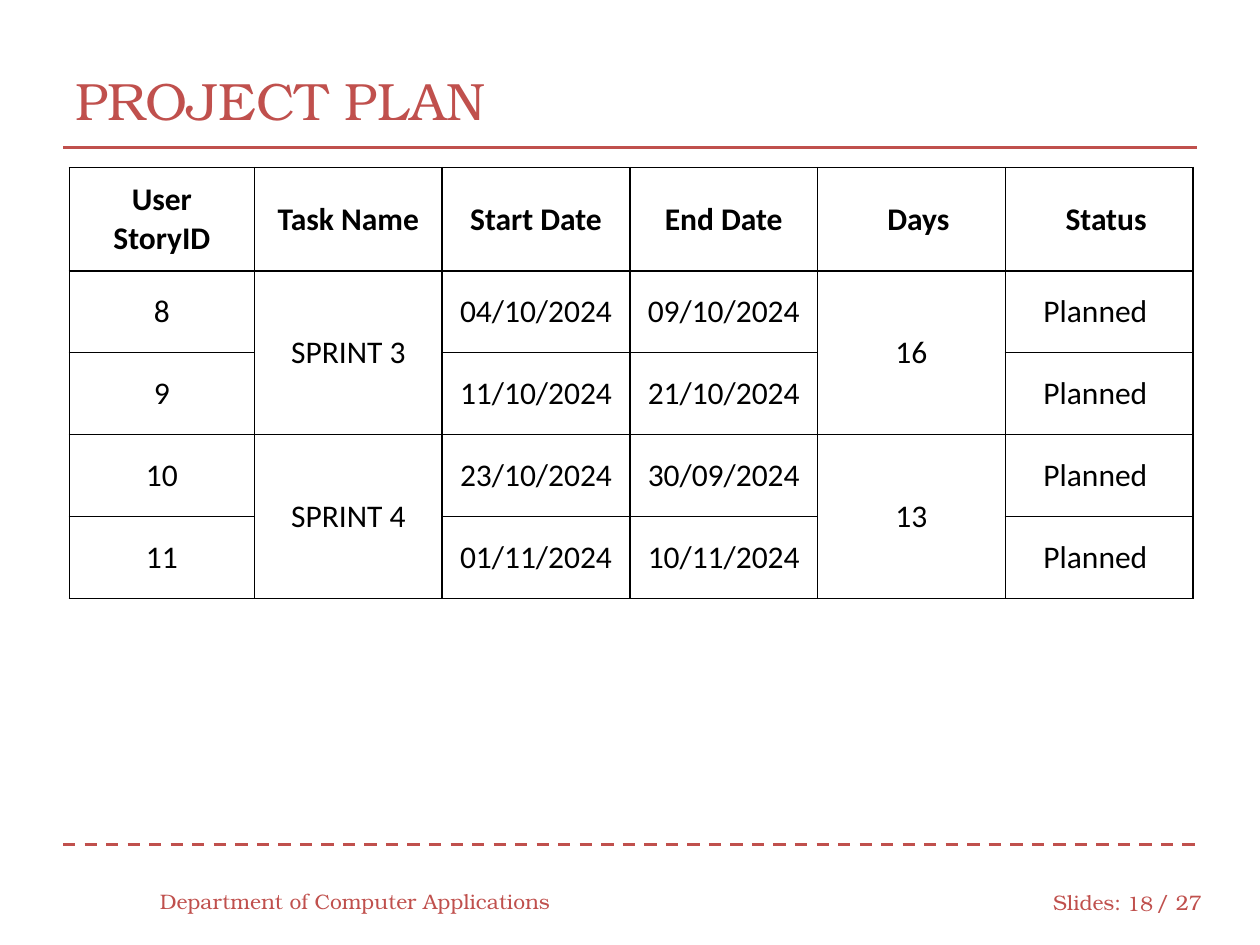
from pptx import Presentation
from pptx.dml.color import RGBColor
from pptx.enum.dml import MSO_LINE
from pptx.enum.shapes import MSO_CONNECTOR
from pptx.enum.text import MSO_ANCHOR, PP_ALIGN
from pptx.oxml import parse_xml
from pptx.oxml.ns import nsdecls, qn
from pptx.util import Inches, Pt

LEFT, CENTER, RIGHT = PP_ALIGN.LEFT, PP_ALIGN.CENTER, PP_ALIGN.RIGHT
MIDDLE = MSO_ANCHOR.MIDDLE
DASH = MSO_LINE.DASH
STRAIGHT = MSO_CONNECTOR.STRAIGHT

RED = RGBColor(0xC0, 0x50, 0x4D)
BLACK = RGBColor(0, 0, 0)
WHITE = RGBColor(255, 255, 255)
HEADING_FONT, TABLE_FONT = "TeX Gyre Bonum", "Calibri"

# Content: text, (left, top, width, height), size, alignment
LABELS = [
    ("PROJECT PLAN", (0.5, 0.33, 9, 0.92), 30, LEFT),
    ("Department of Computer Applications", (1.17, 6.95, 3.33, 0.4), 12, LEFT),
    ("Slides:", (8.26, 6.96, 0.75, 0.4), 12, LEFT),
    ("18", (8.83, 6.97, 0.42, 0.4), 12, RIGHT),
    ("/ 27", (9.08, 6.96, 0.58, 0.4), 12, LEFT),
]
RULES = [(1.17, None), (6.7, DASH)]  # height on the slide, dash style
PLAN = [
    ["User\nStoryID", "Task Name", "Start Date", "End Date", "Days", "Status"],
    ["8", "SPRINT 3", "04/10/2024", "09/10/2024", "16", "Planned"],
    ["9", None, "11/10/2024", "21/10/2024", None, "Planned"],
    ["10", "SPRINT 4", "23/10/2024", "30/09/2024", "13", "Planned"],
    ["11", None, "01/11/2024", "10/11/2024", None, "Planned"],
]
COLUMN_WIDTHS = [1.47] + [1.49] * 5
ROW_HEIGHTS = [0.82] + [0.65] * 4
INSET = 0.1
# Wider left or right insets push these centred words aside
EXTRA_INSETS = {"Days": (0.11, 0), "Status": (0.11, 0), "Planned": (0, 0.06)}


def set_font(font, **values):
    font.color.rgb = values.pop("color")
    for name, value in values.items():
        setattr(font, name, value)


def add_label(slide, text, box, size, align):
    frame = slide.shapes.add_textbox(*map(Inches, box)).text_frame
    frame.word_wrap = True
    frame.vertical_anchor = MIDDLE
    paragraph = frame.paragraphs[0]
    paragraph.text, paragraph.alignment = text, align
    set_font(paragraph.runs[0].font, name=HEADING_FONT, size=Pt(size), color=RED)


def add_rule(slide, y, dash):
    rule = slide.shapes.add_connector(
        STRAIGHT, Inches(0.5), Inches(y), Inches(9.5), Inches(y))
    rule.line.color.rgb, rule.line.width = RED, Pt(1.75)
    if dash:
        rule.line.dash_style = dash
    rule._element.spPr.append(parse_xml(f"<a:effectLst {nsdecls('a')}/>"))


def add_borders(cell):
    properties = cell._tc.get_or_add_tcPr()
    for side in "LRTB":
        properties.append(parse_xml(
            f'<a:ln{side} {nsdecls("a")} w="{Pt(1)}"><a:solidFill>'
            f'<a:srgbClr val="{BLACK}"/></a:solidFill></a:ln{side}>'))


def format_cell(cell, text, bold):
    add_borders(cell)
    cell.fill.solid()
    cell.fill.fore_color.rgb = WHITE
    extra_left, extra_right = EXTRA_INSETS.get(text, (0, 0))
    cell_format = {
        "vertical_anchor": MIDDLE,
        "margin_left": Inches(INSET + extra_left),
        "margin_right": Inches(INSET + extra_right),
        "margin_top": Inches(INSET),
        "margin_bottom": Inches(INSET),
    }
    for name, value in cell_format.items():
        setattr(cell, name, value)
    if text is None:
        return
    cell.text_frame.text = text
    for paragraph in cell.text_frame.paragraphs:
        paragraph.alignment = CENTER
        set_font(paragraph.runs[0].font, name=TABLE_FONT, size=Pt(18),
                 bold=bold, color=BLACK)


def add_plan(slide):
    table = slide.shapes.add_table(
        len(PLAN), len(PLAN[0]), Inches(0.55), Inches(1.33),
        Inches(sum(COLUMN_WIDTHS)), Inches(sum(ROW_HEIGHTS))).table
    table.first_row = table.horz_banding = False
    for column, width in zip(table.columns, COLUMN_WIDTHS):
        column.width = Inches(width)
    for row, height in zip(table.rows, ROW_HEIGHTS):
        row.height = Inches(height)
    for r, texts in enumerate(PLAN):
        for c, text in enumerate(texts):
            format_cell(table.cell(r, c), text, bold=r == 0)
            if text is None:  # belongs to the cell above
                table.cell(r - 1, c).merge(table.cell(r, c))


def main():
    deck = Presentation()
    deck.slide_width, deck.slide_height = Inches(10), Inches(7.5)
    slide = deck.slides.add_slide(deck.slide_layouts[6])
    for rule in RULES:
        add_rule(slide, *rule)
    for label in LABELS:
        add_label(slide, *label)
    add_plan(slide)
    deck.save("out.pptx")


if __name__ == "__main__":
    main()
